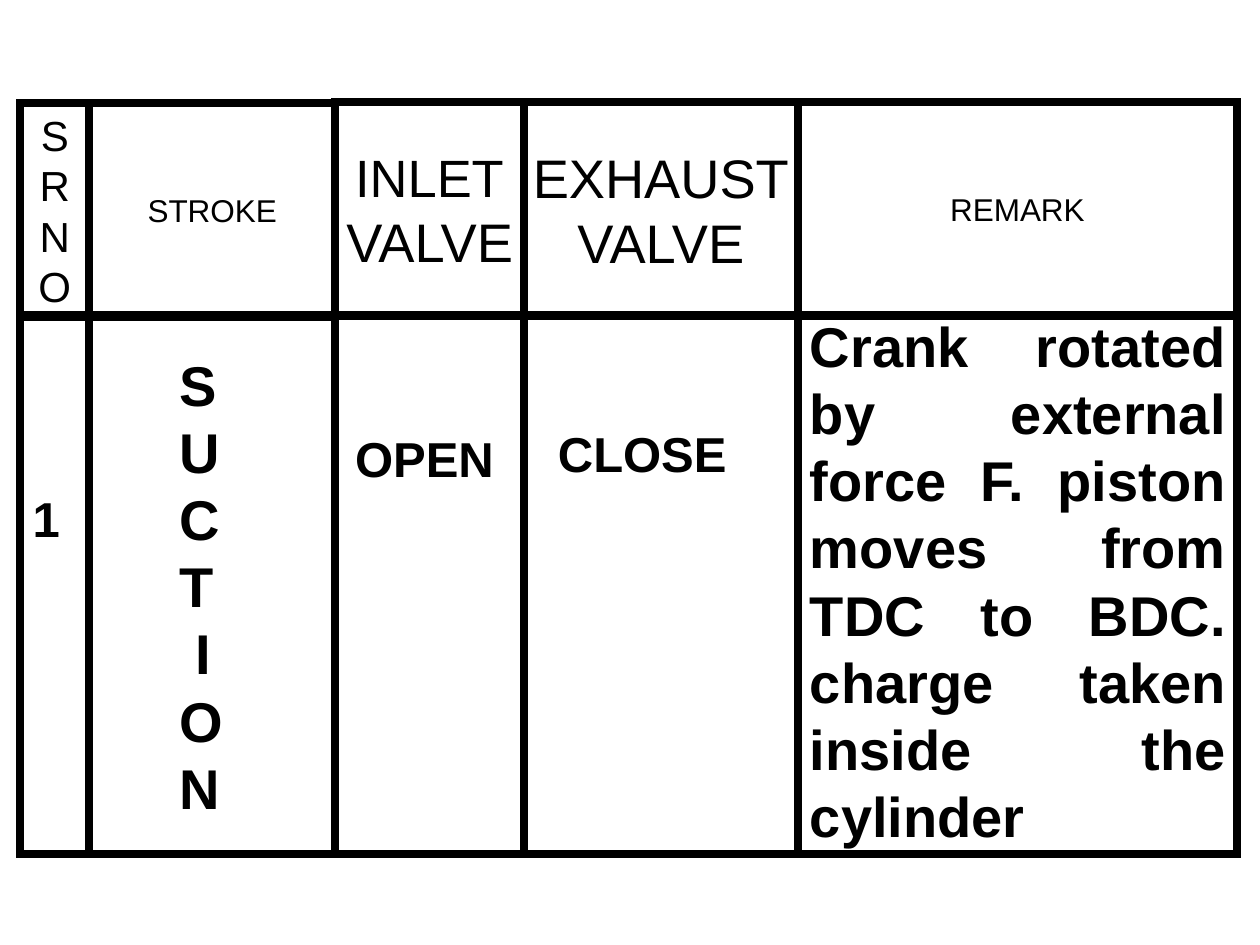
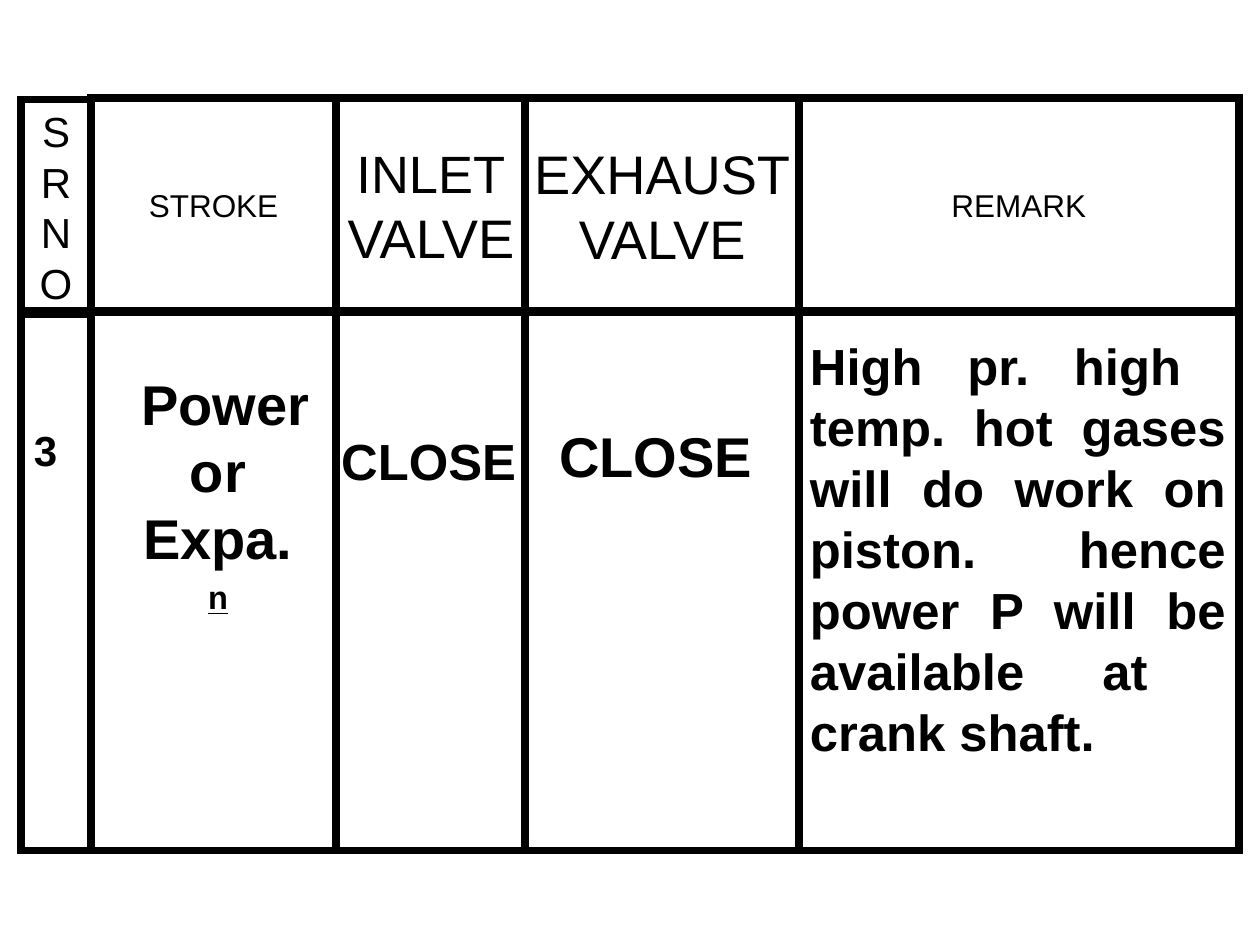
import pptx
import pptx.dml.color
import pptx.enum.shapes
import pptx.enum.text
import pptx.oxml.ns
import pptx.util
from lxml import etree
from pptx.util import Inches

COLORS = {"ink": "000000"}
FONT = "Arial"
ALIGN = pptx.enum.text.PP_ALIGN
GRID_LEFT = 0.16
COLUMN_WIDTHS = [0.55, 1.95, 1.5, 2.17, 3.49]
HEADER_HEIGHT = 1.7
BODY_HEIGHT = 4.28
HEADER_RISE = 1.69
SPACE_WIDTH = 0.12
HEADERS = [
    (["S", "R", "N", "O"], [24] * 4),
    (["STROKE"], [18]),
    (["INLET", "VALVE"], [30, 31]),
    (["EXHAUST", "VALVE"], [31, 31]),
    (["REMARK"], [18]),
]


def color(name):
    return pptx.dml.color.RGBColor.from_string(COLORS[name])


def format_run(r, size, bold):
    r.font.name = FONT
    r.font.size = pptx.util.Pt(size)
    r.font.bold = bold
    r.font.color.rgb = color("ink")


def write_lines(tf, lines, sizes, align, bold=False):
    tf.text = "\n".join(lines)
    for p, size in zip(tf.paragraphs, sizes):
        p.alignment = align
        for r in p.runs:
            format_run(r, size, bold)


def indent(p, side, inches):
    p._p.get_or_add_pPr().set(side, str(Inches(inches)))


def add_cell(shapes, left, top, width, height):
    sp = shapes.add_shape(pptx.enum.shapes.MSO_SHAPE.RECTANGLE,
                          Inches(left), Inches(top), Inches(width), Inches(height))
    sp.shadow.inherit = False
    sp.fill.background()
    sp.line.color.rgb = color("ink")
    sp.line.width = pptx.util.Pt(4.5)
    miter = etree.SubElement(sp.line._ln, pptx.oxml.ns.qn("a:miter"))
    miter.set("lim", "800000")
    return sp


def add_grid(shapes, dx, body_top, lowered_headers):
    left = GRID_LEFT + dx
    for i, (width, (lines, sizes)) in enumerate(zip(COLUMN_WIDTHS, HEADERS)):
        drop = 0.01 if i < lowered_headers else 0
        sp = add_cell(shapes, left, body_top - HEADER_RISE + drop, width, HEADER_HEIGHT)
        tf = sp.text_frame
        tf.word_wrap = False
        tf.vertical_anchor = pptx.enum.text.MSO_ANCHOR.MIDDLE
        write_lines(tf, lines, sizes, ALIGN.CENTER)
        add_cell(shapes, left, body_top, width, BODY_HEIGHT)
        left += width


def add_entry(s, box, lines, size, align=ALIGN.LEFT, wrap=False):
    sp = s.shapes.add_textbox(*[Inches(v) for v in box])
    tf = sp.text_frame
    tf.word_wrap = wrap
    tf.auto_size = pptx.enum.text.MSO_AUTO_SIZE.SHAPE_TO_FIT_TEXT
    write_lines(tf, lines, [size] * len(lines), align, bold=True)
    return tf


def add_superscript(p, text, size):
    r = p.add_run()
    r.text = text
    format_run(r, size, True)
    r.font.underline = True
    r.font._element.set("baseline", "30000")


def add_suction_slide(prs):
    s = prs.slides.add_slide(prs.slide_layouts[6])
    add_grid(s.shapes, 0, 2.5, 2)
    add_entry(s, (0.16, 3.83, 0.42, 0.57), ["1"], 28)
    stroke = add_entry(s, (1.33, 2.73, 0.55, 3.87), list("SUCTION"), 32)
    indent(stroke.paragraphs[4], "marL", SPACE_WIDTH)
    add_entry(s, (2.72, 3.35, 1.31, 0.57), ["OPEN"], 28)
    add_entry(s, (4.33, 3.31, 1.55, 0.57), ["CLOSE"], 28)
    add_entry(s, (6.33, 2.42, 3.5, 4.41),
              ["Crank rotated by external force F. piston moves from TDC to BDC. "
               "charge taken inside the cylinder"], 32, ALIGN.JUSTIFY, wrap=True)


def add_power_slide(prs):
    s = prs.slides.add_slide(prs.slide_layouts[6])
    add_grid(s.shapes.add_group_shape().shapes, 0.01, 2.47, 1)
    add_entry(s, (0.17, 3.32, 0.39, 0.5), ["3"], 24)
    add_entry(s, (4.34, 3.3, 1.75, 0.64), ["CLOSE"], 32)
    add_entry(s, (6.33, 2.61, 3.5, 3.52),
              ["High pr. high  temp. hot gases will do work on piston. hence "
               "power P will be available at  crank shaft."],
              29, ALIGN.JUSTIFY, wrap=True)
    add_entry(s, (2.61, 3.36, 1.59, 0.58), ["CLOSE"], 29)
    stroke = add_entry(s, (1, 2.88, 1.58, 1.72), ["Power", "or", "Expa."], 32, ALIGN.CENTER)
    indent(stroke.paragraphs[1], "marR", SPACE_WIDTH)
    add_superscript(stroke.paragraphs[2], "n", 32)


def main():
    prs = pptx.Presentation()
    prs.slide_width = Inches(10)
    prs.slide_height = Inches(7.5)
    add_suction_slide(prs)
    add_power_slide(prs)
    prs.save("out.pptx")


if __name__ == "__main__":
    main()
